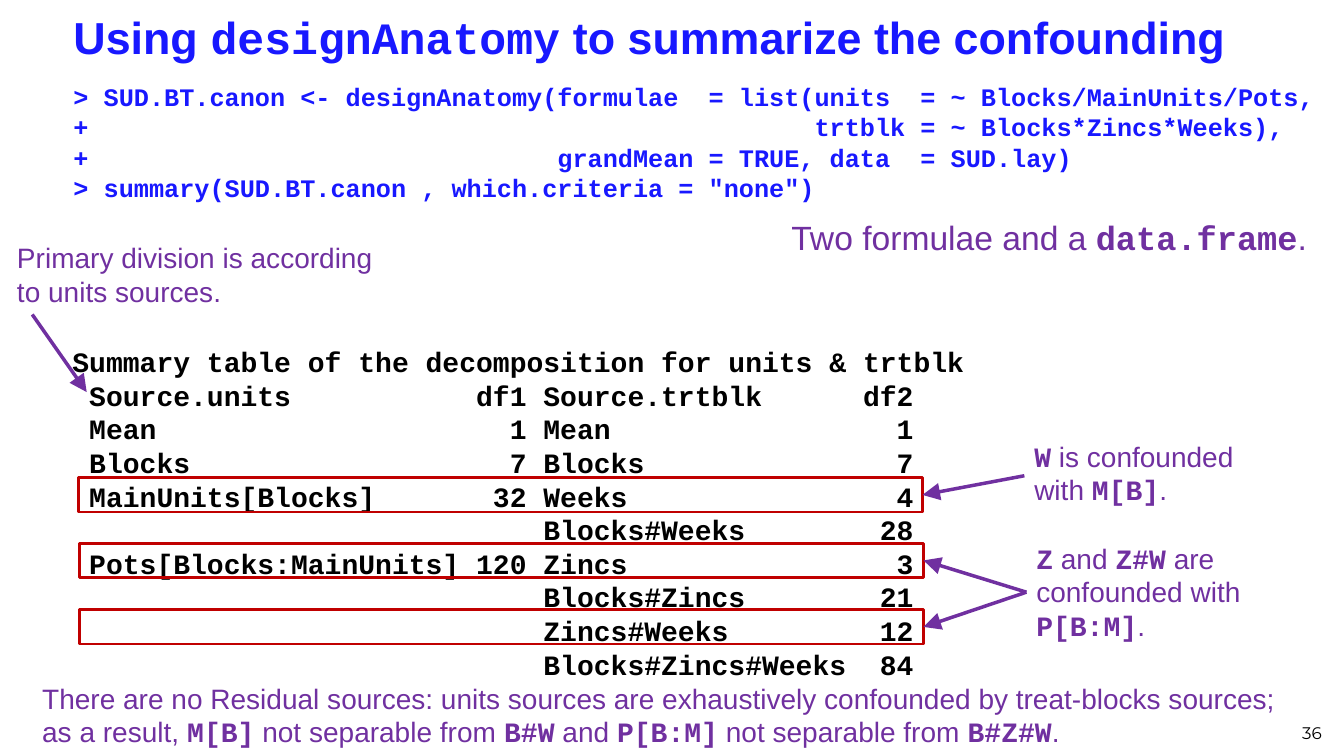
"""Build the slide on summarizing confounding with designAnatomy."""
from lxml import etree
from pptx import Presentation
from pptx.dml.color import RGBColor
from pptx.enum.shapes import MSO_CONNECTOR as CONN, MSO_SHAPE as SHAPE
from pptx.enum.text import MSO_ANCHOR as ANCHOR, MSO_AUTO_SIZE as AUTO, PP_ALIGN as ALIGN
from pptx.oxml.ns import qn
from pptx.util import Emu, Pt

PX = 9144
COLORS = {"blue": "1818FF", "purple": "7030A0", "red": "C00000", "black": "000000"}
SANS, MONO = "Arial", "Courier New"

TITLE = "Using `designAnatomy` to summarize the confounding"
CODE = [
    "> SUD.BT.canon <- designAnatomy(formulae  = list(units  = ~ Blocks/MainUnits/Pots,",
    "+                                                trtblk = ~ Blocks*Zincs*Weeks),",
    "+                               grandMean = TRUE, data  = SUD.lay)",
    '> summary(SUD.BT.canon , which.criteria = "none")',
]
OUTPUT = [
    "Summary table of the decomposition for units & trtblk",
    " Source.units           df1 Source.trtblk      df2",
    " Mean                     1 Mean                 1",
    " Blocks                   7 Blocks               7",
    " MainUnits[Blocks]       32 Weeks                4",
    "                            Blocks#Weeks        28",
    " Pots[Blocks:MainUnits] 120 Zincs                3",
    "                            Blocks#Zincs        21",
    "                            Zincs#Weeks         12",
    "                            Blocks#Zincs#Weeks  84",
]
NOTES = {
    "weeks": ("`W` is confounded with `M[B]`.", (1016, 431, 237, 77)),
    "zincs": ("`Z` and `Z#W` are confounded with `P[B:M]`.", (1018, 532, 237, 111)),
    "units": ("Primary division is according to units sources.", (7, 234, 378, 77)),
    "residual": ("There are no Residual sources: units sources are exhaustively confounded by "
                 "treat-blocks sources; as a result, `M[B]` not separable from `B#W` and "
                 "`P[B:M]` not separable from `B#Z#W`.", (32, 671, 1270, 77)),
}
HIGHLIGHTS = {"weeks": (78, 474), "zincs": (79, 539), "zincs_weeks": (79, 605)}
HIGHLIGHT_SIZE = (837, 34)

prs = Presentation()
prs.slide_width, prs.slide_height = Emu(1333 * PX), Emu(750 * PX)
s = prs.slides.add_slide(prs.slide_layouts[6])


def px(*lengths):
    return [Emu(n * PX) for n in lengths]


def color(name):
    return RGBColor.from_string(COLORS[name])


def add_text(lines, box, size=20, fill="purple", font=SANS, bold=False,
             align=ALIGN.LEFT, anchor=ANCHOR.TOP, grow=False):
    """Add lines as paragraphs; backticks mark bold monospaced runs."""
    sp = s.shapes.add_textbox(*px(*box))
    tf = sp.text_frame
    tf.word_wrap = True
    tf.auto_size = AUTO.SHAPE_TO_FIT_TEXT if grow else AUTO.NONE
    tf.vertical_anchor = anchor
    for i, line in enumerate(lines):
        p = tf.add_paragraph() if i else tf.paragraphs[0]
        p.alignment = align
        for j, part in enumerate(line.split("`")):
            if part:
                r = p.add_run()
                r.text = part
                r.font.size = Pt(size)
                r.font.name = MONO if j % 2 else font
                r.font.bold = bold or j % 2 == 1
                r.font.color.rgb = color(fill)
    return sp


def add_highlight(left, top):
    sp = s.shapes.add_shape(SHAPE.RECTANGLE, *px(left, top, *HIGHLIGHT_SIZE))
    sp.shadow.inherit = False
    sp.fill.background()
    sp.line.color.rgb = color("red")
    sp.line.width = Pt(2)
    return sp


def add_arrow(start, end, source=None, target=None):
    cx = s.shapes.add_connector(CONN.STRAIGHT, *px(*start, *end))
    if source is not None:
        cx.begin_connect(source, 1)
    if target is not None:
        cx.end_connect(target, 3)
    cx.line.color.rgb = color("purple")
    cx.line.width = Pt(2.5)
    etree.SubElement(cx.line._get_or_add_ln(), qn("a:tailEnd"),
                     type="triangle", w="lg", len="lg")
    etree.SubElement(cx._element.spPr, qn("a:effectLst"))


add_text([TITLE], (63, -3, 1260, 79), size=32, fill="blue", bold=True, anchor=ANCHOR.MIDDLE)
add_text(CODE, (63, 76, 1260, 136), size=18, fill="blue", font=MONO, bold=True)
add_text(["36"], (1010, 692, 311, 50), size=12, fill="black", font="Montserrat",
         align=ALIGN.RIGHT, anchor=ANCHOR.BOTTOM)
add_text(OUTPUT, (62, 337, 1260, 352), fill="black", font=MONO, bold=True)
add_text(["Two formulae and a `data.frame`."], (775, 210, 548, 58), size=24)

rows = {name: add_highlight(*corner) for name, corner in HIGHLIGHTS.items()}
notes = {name: add_text([text], box, grow=True) for name, (text, box) in NOTES.items()}

add_arrow((32, 312), (86, 389))
add_arrow((1016, 472), (915, 491), target=rows["weeks"])
for name, y in (("zincs", 556), ("zincs_weeks", 622)):
    add_arrow((1018, 588), (916, y), notes["zincs"], rows[name])

prs.save("out.pptx")
